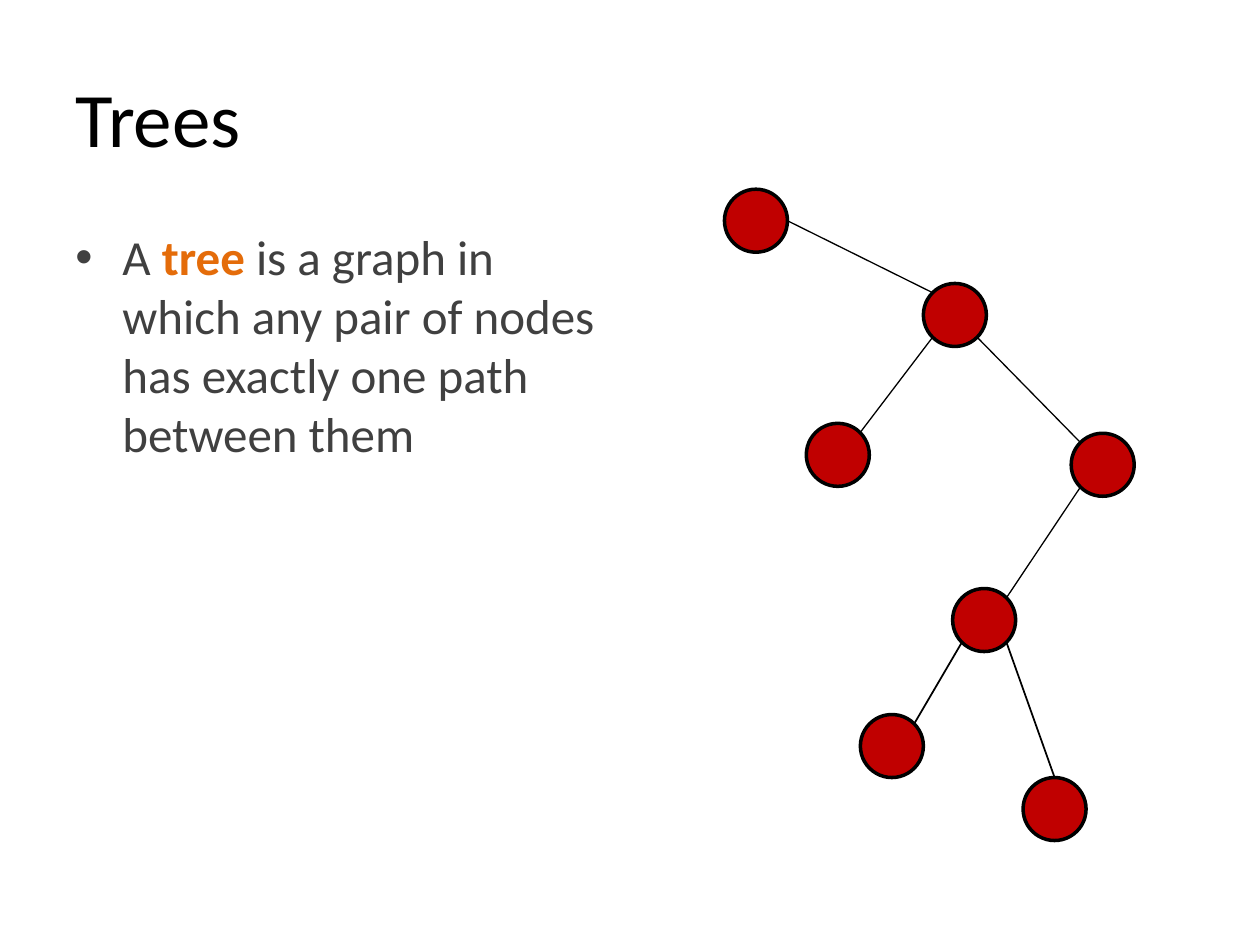
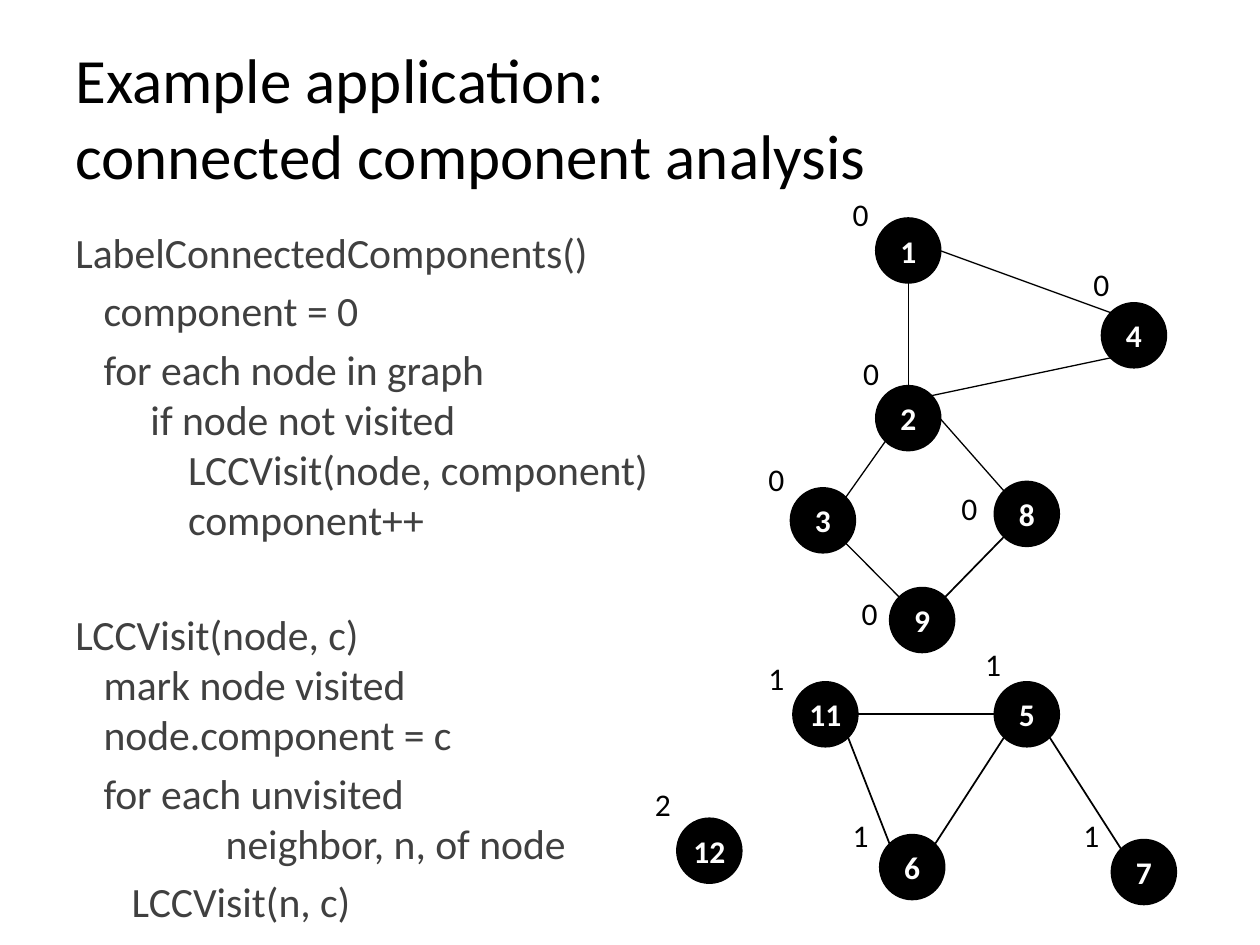
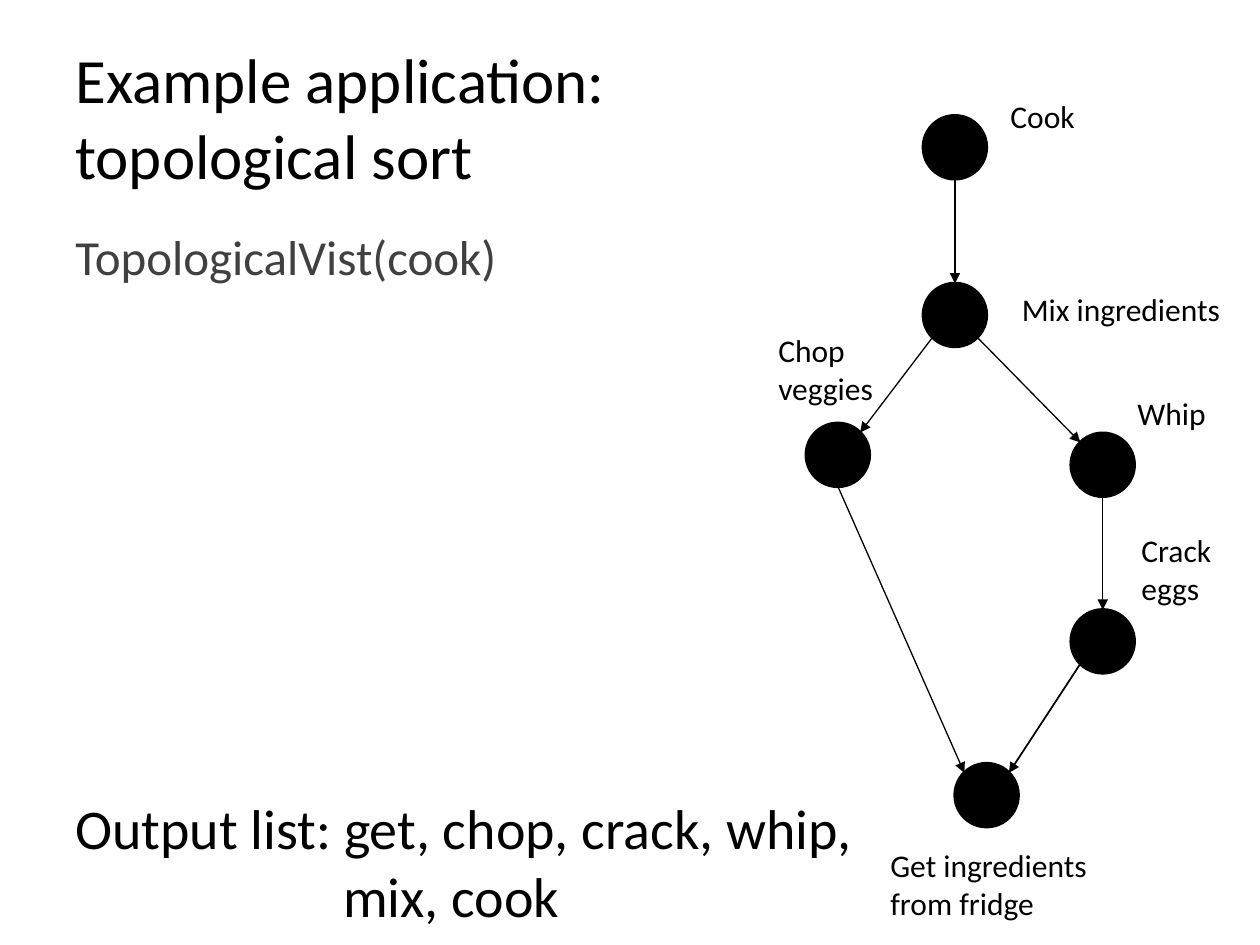
from math import sqrt

from lxml import etree
from pptx import Presentation
from pptx.dml.color import RGBColor
from pptx.enum.shapes import MSO_CONNECTOR as CONN, MSO_SHAPE as SHAPE
from pptx.enum.text import MSO_ANCHOR as ANCHOR, PP_ALIGN as ALIGN
from pptx.oxml.ns import qn
from pptx.util import Cm, Pt

FONT = "Calibri"
BLACK, WHITE, GREY = "000000", "FFFFFF", "404040"
ORANGE, RED = "E46C0A", "C00000"
THIN, THICK = 0.75, 1
MARGIN = 1.27
RADIUS = 0.635
DIAG = 1 / sqrt(2)
SITES = {
    "n": (0, -1), "s": (0, 1), "e": (1, 0), "w": (-1, 0),
    "ne": (DIAG, -DIAG), "nw": (-DIAG, -DIAG),
    "se": (DIAG, DIAG), "sw": (-DIAG, DIAG),
}


def rgb(code):
    return RGBColor.from_string(code)


def add_run(p, text, size, color, bold=False):
    for i, line in enumerate(text.split("\n")):
        if i:
            p.add_line_break()
        r = p.add_run()
        r.text = line
        f = r.font
        f.name, f.size, f.bold = FONT, Pt(size), bold
        f.color.rgb = rgb(color)


def indent(p, left, first=0):
    pPr = p._p.get_or_add_pPr()
    pPr.set("marL", str(Cm(left)))
    pPr.set("indent", str(Cm(first)))
    return pPr


def add_bullet(p):
    pPr = indent(p, 0.95, -0.95)
    etree.SubElement(pPr, qn("a:buFont")).set("typeface", "Arial")
    etree.SubElement(pPr, qn("a:buChar")).set("char", "•")


def add_box(s, x, y, w, h, wrap=True):
    tf = s.shapes.add_textbox(Cm(x), Cm(y), Cm(w), Cm(h)).text_frame
    tf.word_wrap = wrap
    return tf


def add_lines(tf, lines, size, color):
    for i, line in enumerate(lines):
        p = tf.add_paragraph() if i else tf.paragraphs[0]
        add_run(p, line, size, color)
    return tf.paragraphs


def add_title(s, text, size):
    tf = add_box(s, MARGIN, 0.76, 22.86, 3.18)
    tf.vertical_anchor = ANCHOR.MIDDLE
    add_run(tf.paragraphs[0], text, size, BLACK)


def add_body(s, width):
    return add_box(s, MARGIN, 4.45, width, 12.57)


def add_label(s, text, x, y, w=0.84):
    lines = text.split("\n")
    tf = add_box(s, x, y, w, 0.25 + 0.77 * len(lines), wrap=False)
    add_lines(tf, lines, 18, BLACK)


def add_nodes(s, nodes, fill, numbered=False):
    for name, (x, y) in nodes.items():
        sp = s.shapes.add_shape(SHAPE.OVAL, Cm(x - RADIUS), Cm(y - RADIUS),
                                Cm(2 * RADIUS), Cm(2 * RADIUS))
        sp.shadow.inherit = False
        sp.fill.solid()
        sp.fill.fore_color.rgb = rgb(fill)
        sp.line.color.rgb = rgb(BLACK)
        sp.line.width = Pt(2)
        if numbered:
            tf = sp.text_frame
            tf.margin_left = tf.margin_right = 0
            tf.word_wrap = False
            tf.vertical_anchor = ANCHOR.MIDDLE
            p = tf.paragraphs[0]
            p.alignment = ALIGN.CENTER
            add_run(p, str(name), 18, WHITE, bold=True)


def site_point(center, site):
    dx, dy = SITES[site]
    return Cm(center[0] + RADIUS * dx), Cm(center[1] + RADIUS * dy)


def add_edges(s, nodes, edges, arrow=False):
    for start, start_site, end, end_site, width in edges:
        c = s.shapes.add_connector(CONN.STRAIGHT,
                                   *site_point(nodes[start], start_site),
                                   *site_point(nodes[end], end_site))
        c.line.color.rgb = rgb(BLACK)
        c.line.width = Pt(width)
        if arrow:
            ln = c.line._get_or_add_ln()
            etree.SubElement(ln, qn("a:tailEnd")).set("type", "triangle")
        etree.SubElement(c._element.spPr, qn("a:effectLst"))


def build_trees(s):
    add_title(s, "Trees", 44)
    p = add_body(s, 11.23).paragraphs[0]
    add_bullet(p)
    add_run(p, "A ", 28, GREY)
    add_run(p, "tree ", 28, ORANGE, bold=True)
    add_run(p, "is a graph in which any pair of nodes has exactly "
               "one path between them", 28, GREY)
    nodes = {
        "root": (15.24, 4.45), "fork": (19.25, 6.35), "left": (16.89, 9.17),
        "right": (22.23, 9.37), "lower": (19.84, 12.5),
        "left leaf": (17.98, 15.04), "right leaf": (21.26, 16.31),
    }
    add_nodes(s, nodes, RED)
    add_edges(s, nodes, [
        ("root", "e", "fork", "nw", THIN),
        ("fork", "sw", "left", "ne", THIN),
        ("fork", "se", "right", "nw", THIN),
        ("right", "sw", "lower", "ne", THIN),
        ("lower", "sw", "left leaf", "ne", THICK),
        ("lower", "se", "right leaf", "n", THICK),
    ])


def build_components(s):
    add_title(s, "Example application:\nconnected component analysis", 36)
    code = [
        "LabelConnectedComponents()",
        "   component = 0",
        "   for each node in graph\n"
        "        if node not visited\n"
        "            LCCVisit(node, component)\n"
        "            component++",
        "LCCVisit(node, c)\n"
        "   mark node visited\n"
        "   node.component = c",
        "   for each unvisited\n"
        "                neighbor, n, of node",
        "      LCCVisit(n, c)",
    ]
    paragraphs = add_lines(add_body(s, 13.64), code, 23.8, GREY)
    for p in paragraphs[1:]:
        p.space_before = Pt(4.8)
    paragraphs[3].space_before = Pt(37.5)

    nodes = {
        1: (18.31, 5.05), 2: (18.31, 8.43), 3: (16.59, 10.49),
        4: (22.86, 6.76), 5: (20.7, 14.4), 6: (18.39, 17.48),
        7: (23.06, 17.58), 8: (20.7, 10.36), 9: (18.59, 12.5),
        11: (16.64, 14.4), 12: (14.3, 17.15),
    }
    add_nodes(s, nodes, BLACK, numbered=True)
    add_edges(s, nodes, [
        (1, "s", 2, "n", THIN), (1, "e", 4, "nw", THIN),
        (2, "ne", 4, "sw", THIN), (2, "sw", 3, "ne", THIN),
        (2, "e", 8, "nw", THIN), (3, "se", 9, "nw", THIN),
        (8, "sw", 9, "ne", THICK), (11, "e", 5, "w", THICK),
        (11, "se", 6, "nw", THICK), (5, "sw", 6, "ne", THICK),
        (5, "se", 7, "nw", THICK),
    ])
    members = {
        "0": [(16.94, 3.81), (17.15, 7.01), (15.24, 9.14),
              (17.12, 11.86), (19.13, 9.73), (21.79, 5.21)],
        "1": [(19.61, 12.88), (16.94, 16.33), (15.24, 13.16), (21.59, 16.33)],
        "2": [(12.95, 15.7)],
    }
    for component, places in members.items():
        for x, y in places:
            add_label(s, component, x, y)


def build_topological_sort(s):
    add_title(s, "Example application:\ntopological sort", 36)
    add_lines(add_body(s, 13.64), ["TopologicalVist(cook)"], 28, GREY)
    nodes = {
        "cook": (19.25, 2.97), "mix": (19.25, 6.35), "chop": (16.89, 9.17),
        "whip": (22.23, 9.37), "crack": (22.23, 12.93), "get": (19.89, 16.03),
    }
    add_nodes(s, nodes, BLACK)
    add_edges(s, nodes, [
        ("cook", "s", "mix", "n", THIN),
        ("mix", "sw", "chop", "ne", THIN),
        ("mix", "se", "whip", "nw", THIN),
        ("whip", "s", "crack", "n", THIN),
        ("chop", "s", "get", "nw", THIN),
        ("crack", "sw", "get", "ne", THICK),
    ], arrow=True)
    for text, x, y, w in [
        ("Cook", 20.12, 1.83, 1.83),
        ("Mix ingredients", 20.35, 5.72, 4.55),
        ("Chop\nveggies", 15.44, 6.55, 2.44),
        ("Whip", 22.68, 7.82, 1.9),
        ("Crack\neggs", 22.76, 10.59, 1.93),
        ("Get ingredients\nfrom fridge", 17.7, 16.94, 4.52),
    ]:
        add_label(s, text, x, y, w)

    output = add_box(s, MARGIN, 15.88, 16.36, 3, wrap=False)
    lines = ["Output list: get, chop, crack, whip,", "mix, cook"]
    indent(add_lines(output, lines, 32, BLACK)[1], 5.4)


def main():
    prs = Presentation()
    prs.slide_width, prs.slide_height = Cm(25.4), Cm(19.05)
    for build in (build_trees, build_components, build_topological_sort):
        build(prs.slides.add_slide(prs.slide_layouts[6]))
    prs.save("out.pptx")


if __name__ == "__main__":
    main()
